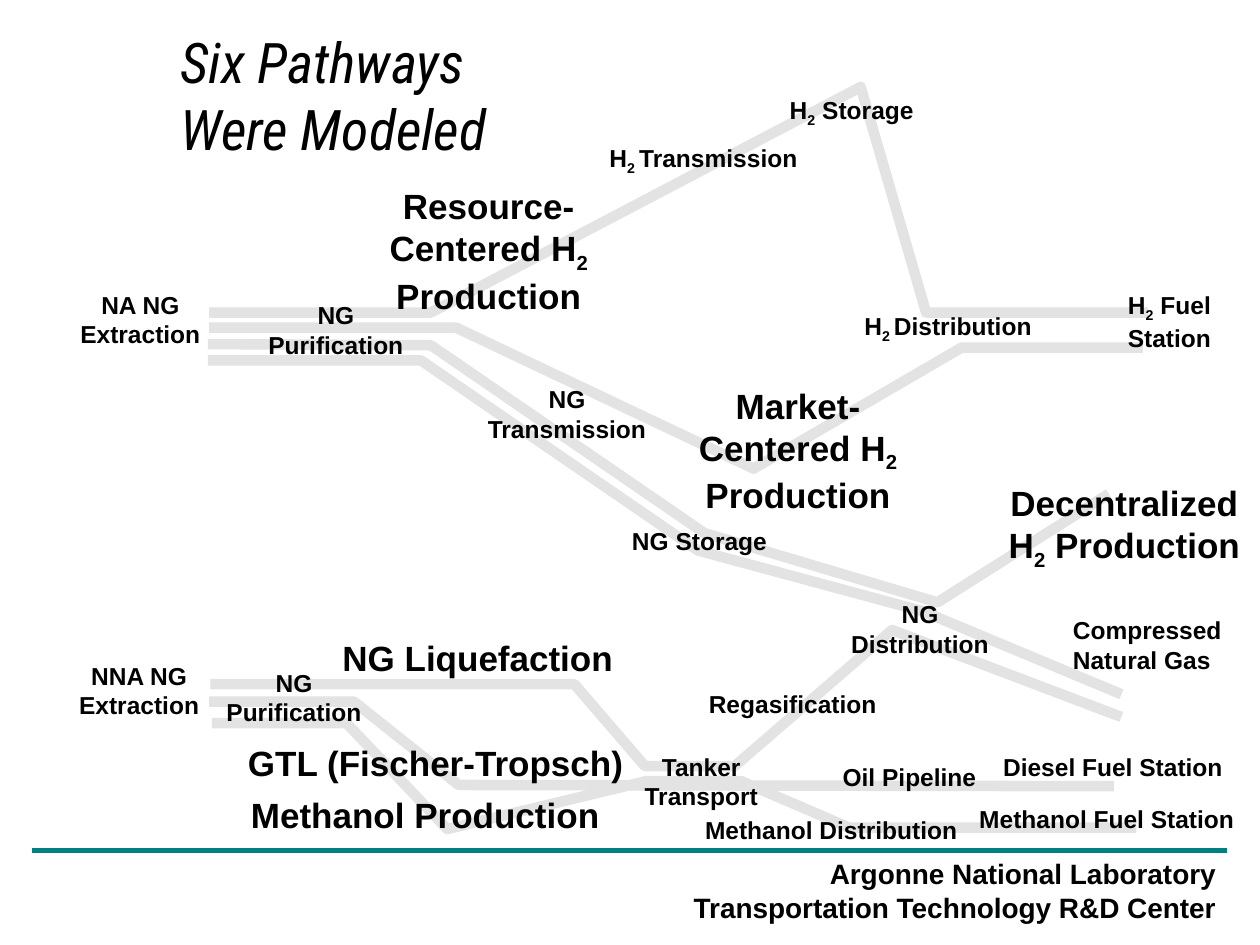
from dataclasses import dataclass

from lxml import etree
from pptx import Presentation
from pptx.dml.color import RGBColor
from pptx.enum import text
from pptx.oxml import ns
from pptx.util import Pt

BLACK, GREY, TEAL = "000000", "E3E3E3", "008080"
ALIGN = text.PP_ALIGN


@dataclass(frozen=True)
class Label:
    text: str
    left: float
    top: float
    width: float
    height: float
    size: float = 14
    align: ALIGN = ALIGN.CENTER


@dataclass(frozen=True)
class Pathway:
    points: tuple[tuple[float, float], ...]


PATHWAYS = [
    Pathway(((121, 413.3), (198, 413.3), (255.6, 473.8), (369.4, 446.4),
             (423.4, 446.4), (485.3, 473), (649.4, 473))),
    Pathway(((120.2, 391), (328.3, 391), (368.6, 437.8), (419.8, 437.8),
             (509.8, 360), (640.8, 409.7))),
    Pathway(((119.5, 401), (202.3, 401), (262.1, 448.6), (636.5, 449.3))),
    Pathway(((118.8, 205.9), (240.5, 205.9), (398.9, 314.6), (527, 349.2),
             (640.8, 396.7))),
    Pathway(((118.8, 196.6), (246.2, 197.3), (402.5, 304.6), (535.7, 344.2),
             (633.6, 282.2))),
    Pathway(((119.5, 187.2), (260.6, 187.2), (430.6, 267.8), (549.4, 198.7),
             (653, 198.7))),
    Pathway(((119.5, 178.6), (246.2, 178.6), (491.8, 49.7), (529.2, 178.6),
             (655.9, 178.6))),
]

LABELS = [
    Label("NA NG Extraction", 36, 162, 88.5, 60),
    Label("NG Purification", 138, 168, 108, 34.5),
    Label("Resource-Centered H_2_ Production", 204, 102, 150.5, 46, 20),
    Label("H_2 _Transmission", 336, 78, 132, 24.5),
    Label("H_2_ Storage", 440, 50.5, 93.5, 21.5),
    Label("H_2 _Distribution", 486, 174, 111.5, 24),
    Label("H_2_ Fuel Station", 636, 162, 64.5, 43),
    Label("NG Transmission", 264, 216, 120, 42),
    Label("NG Storage", 353, 297, 93.5, 21.5),
    Label("Market-Centered H_2_ Production", 378, 216, 156, 42, 20),
    Label("NG Distribution", 479, 339, 93.5, 21.5),
    Label("Decentralized\nH_2_ Production", 564, 271.5, 157, 32.5, 20),
    Label("Compressed Natural Gas", 606, 348, 114, 24, align=ALIGN.LEFT),
    Label("NNA NG Extraction", 36, 374, 87, 46),
    Label("NG Purification", 120, 378, 96, 34.5),
    Label("Regasification", 396, 390, 114, 21.5),
    Label("GTL (Fischer-Tropsch)", 123, 420, 252, 30, 20),
    Label("Oil Pipeline", 473, 432, 93.5, 30),
    Label("Diesel Fuel Station", 564, 426, 144, 24),
    Label("NG Liquefaction", 186, 360, 174, 24, 20),
    Label("Tanker Transport", 354, 426, 93.5, 21.5),
    Label("Methanol Production", 132, 450, 222, 24, 20),
    Label("Methanol Distribution", 390, 462, 170, 18),
    Label("Methanol Fuel Station", 552, 456, 161, 18),
    Label("Argonne National Laboratory\nTransportation Technology R&D Center",
          382, 486, 320, 45, 16, ALIGN.RIGHT),
]


def rgb(value: str) -> RGBColor:
    return RGBColor.from_string(value)


def draw_pathway(s, pathway: Pathway) -> None:
    start, *rest = [(Pt(x), Pt(y)) for x, y in pathway.points]
    builder = s.shapes.build_freeform(*start)
    builder.add_line_segments(rest, close=False)
    sp = builder.convert_to_shape()
    sp.shadow.inherit = False
    sp.fill.background()
    sp.line.color.rgb = rgb(GREY)
    sp.line.width = Pt(6)


def draw_label(s, label: Label) -> None:
    sp = s.shapes.add_textbox(Pt(label.left), Pt(label.top),
                              Pt(label.width), Pt(label.height))
    tf = sp.text_frame
    tf.word_wrap = True
    for i, line in enumerate(label.text.split("\n")):
        p = tf.add_paragraph() if i else tf.paragraphs[0]
        p.alignment = label.align
        for j, part in enumerate(line.split("_")):
            r = p.add_run()
            r.text = part
            r.font.name = "Arial"
            r.font.size = Pt(label.size)
            r.font.bold = True
            r.font.color.rgb = rgb(BLACK)
            if j % 2:
                r._r.get_or_add_rPr().set("baseline", "-25000")


def draw_rule(s) -> None:
    rule = s.shapes.add_connector(1, Pt(18), Pt(486), Pt(701.3), Pt(486))
    rule.line.color.rgb = rgb(TEAL)
    rule.line.width = Pt(3)
    etree.SubElement(rule._element.spPr, ns.qn("a:effectLst"))


def set_title(s, lines: list[str]) -> None:
    sp = s.shapes.title
    sp.left, sp.top, sp.width, sp.height = Pt(96), Pt(12), Pt(228), Pt(84)
    tf = sp.text_frame
    tf.text = "\n".join(lines)
    tf.word_wrap = True
    tf.auto_size = text.MSO_AUTO_SIZE.NONE
    tf.vertical_anchor = text.MSO_ANCHOR.TOP
    for p in tf.paragraphs:
        p.alignment = ALIGN.LEFT
        for r in p.runs:
            r.font.name = "Roboto Condensed"
            r.font.size = Pt(32)
            r.font.italic = True
            r.font.color.rgb = rgb(BLACK)


def main() -> None:
    prs = Presentation()
    prs.slide_width, prs.slide_height = Pt(720), Pt(540)
    s = prs.slides.add_slide(prs.slide_layouts[5])
    set_title(s, ["Six Pathways", "Were Modeled"])
    draw_rule(s)
    for pathway in PATHWAYS:
        draw_pathway(s, pathway)
    for label in LABELS:
        draw_label(s, label)
    prs.save("out.pptx")


if __name__ == "__main__":
    main()
